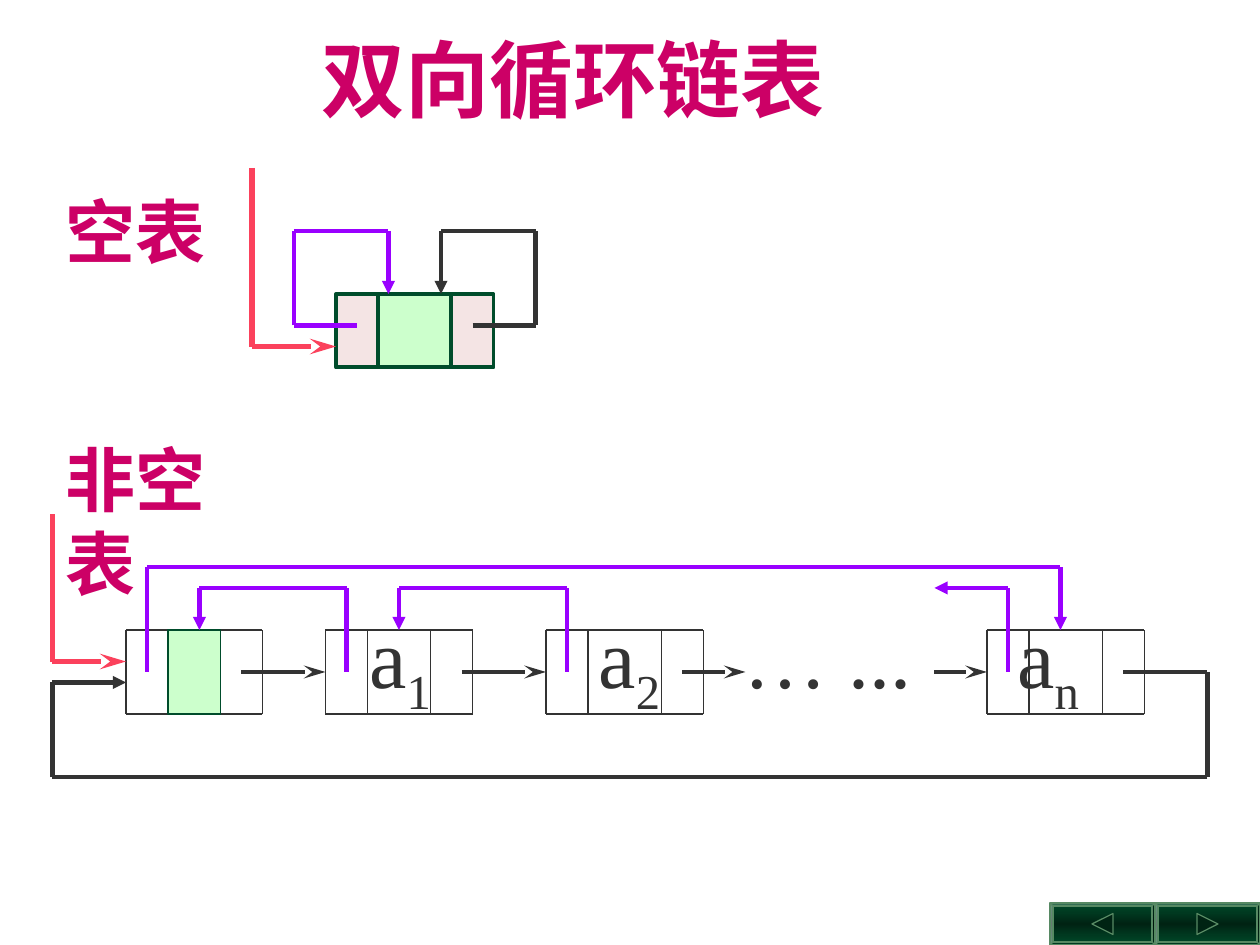
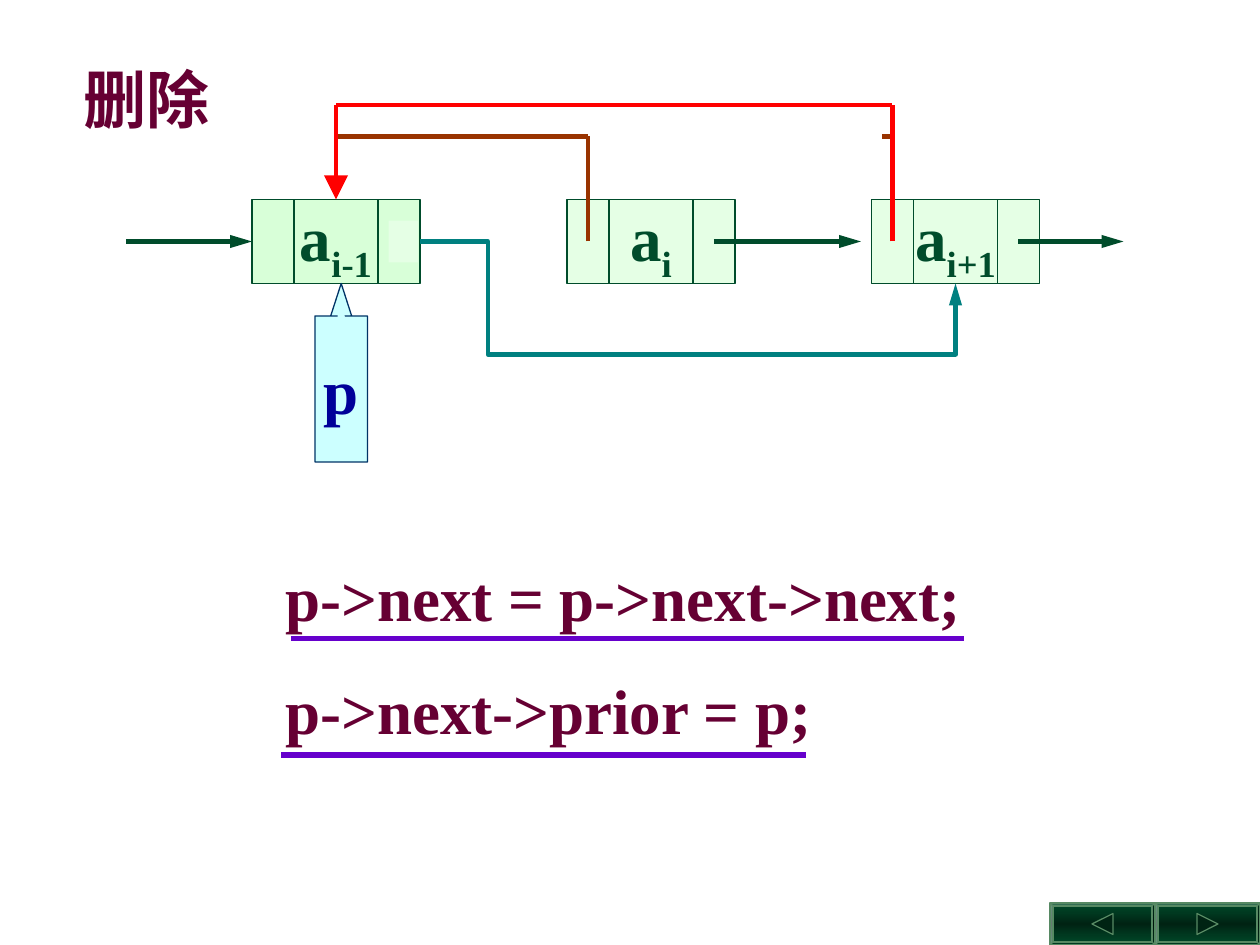
from copy import deepcopy

from lxml import etree
from pptx import Presentation
from pptx import util as u
from pptx.dml.color import RGBColor
from pptx.enum import shapes, text
from pptx.oxml.ns import qn

GRID = u.Cm(2.54) // 12  # every position below counts these steps
COLORS = {
    "ink": "333333", "title": "CC0066", "green": "004C2B", "deep_green": "002313",
    "button_edge": "578963", "data": "CCFFCC", "pointer": "F4E4E4", "head": "FB415C",
    "prior": "9900FF", "heading": "660033", "underline": "6600CC", "old_prior": "993300",
    "new_prior": "FF0000", "new_next": "008080", "tag": "CCFFFF", "tag_line": "003366",
    "tag_text": "000099", "erased": "E5FFE5",
}
RGB = {name: RGBColor.from_string(value) for name, value in COLORS.items()}
FONT = "Times New Roman"
STEALTH = ("stealth", "med", "lg")
SHORT = ("triangle", "med", "med")
LONG = ("triangle", "med", "lg")
WIDE = ("triangle", "lg", "lg")


def draw_path(slide, points, color, width, head=None, elbow=False):
    """Join grid points with connectors; the last one, returned, bears the arrowhead."""
    kind = shapes.MSO_CONNECTOR.ELBOW if elbow else shapes.MSO_CONNECTOR.STRAIGHT
    for start, end in zip(points, points[1:]):
        leg = slide.shapes.add_connector(kind, *(int(n * GRID) for n in start + end))
        leg.line.color.rgb = RGB[color]
        leg.line.width = u.Pt(width)
        etree.SubElement(leg._element.spPr, qn("a:effectLst"))
    if head:
        ending, breadth, length = head
        etree.SubElement(leg.line._get_or_add_ln(), qn("a:tailEnd"),
                         type=ending, w=breadth, len=length)
    return leg


def write(frame, lines, size, color, bold=True, tab_stops=()):
    """Fill a frame; in each line every second run is a subscript."""
    for number, runs in enumerate(lines):
        paragraph = frame.paragraphs[0] if number == 0 else frame.add_paragraph()
        if tab_stops:
            tabs = etree.SubElement(paragraph._p.get_or_add_pPr(), qn("a:tabLst"))
            for stop in tab_stops:
                etree.SubElement(tabs, qn("a:tab"), pos=str(u.Cm(stop)), algn="l")
        paragraph.font.name = FONT
        paragraph.font.size = u.Pt(size)
        paragraph.font.bold = bold
        paragraph.font.color.rgb = RGB[color]
        for place, words in enumerate(runs):
            run = paragraph.add_run()
            run.text = words
            if place % 2:
                run._r.get_or_add_rPr().set("baseline", "-25000")


deck = Presentation()
deck.slide_width, deck.slide_height = u.Cm(25.4), u.Cm(19.05)
circular = deck.slides.add_slide(deck.slide_layouts[6])
deletion = deck.slides.add_slide(deck.slide_layouts[6])

# Navigation buttons on both slides
for slide in (circular, deletion):
    for left, base, tip in ((110, 113.8, 116.3), (100, 106.3, 103.7)):
        button = slide.shapes.add_shape(shapes.MSO_SHAPE.BEVEL, left * GRID, 86 * GRID,
                                        10 * GRID, 4 * GRID)
        button.adjustments[0] = 0.07
        button.fill.gradient()
        button.fill.gradient_angle = 90
        for stop in button.fill.gradient_stops:
            stop.color.rgb = RGB["green"]
        first_stop = button._element.spPr.find(qn("a:gradFill")).find(qn("a:gsLst"))[0]
        middle_stop = deepcopy(first_stop)
        middle_stop.set("pos", "50000")
        middle_stop[0].set("val", COLORS["deep_green"])
        first_stop.addnext(middle_stop)

        outline = slide.shapes.build_freeform(base, 86.75, scale=GRID)
        outline.add_line_segments([(tip, 88), (base, 89.25)])
        triangle = outline.convert_to_shape()
        triangle.fill.solid()
        triangle.fill.fore_color.rgb = RGB["deep_green"]
        for part in (button, triangle):
            part.shadow.inherit = False
            part.line.color.rgb = RGB["button_edge"]
            part.line.width = u.Pt(0.75)

# Headings and code
for slide, lines, box, size, color in (
    (circular, [["双向循环链表"]], (29.4, 2, 50.4, 10.8), 48, "title"),
    (circular, [["空表"]], (5.1, 17.4, 15.7, 9.2), 40, "title"),
    (circular, [["非空表"]], (5.1, 41, 22.3, 9.2), 40, "title"),
    (deletion, [["删除"]], (6.8, 5.2, 14.4, 8.4), 36, "heading"),
    (deletion, [["p->next = p->next->next;"], ["p->next->prior = p;"]],
     (26, 49, 66.7, 22.8), 36, "heading"),
):
    frame = slide.shapes.add_textbox(*(int(n * GRID) for n in box)).text_frame
    frame.word_wrap = False
    frame.auto_size = text.MSO_AUTO_SIZE.SHAPE_TO_FIT_TEXT
    write(frame, lines, size, color)
    if len(lines) > 1:
        for paragraph in frame.paragraphs:
            paragraph.line_spacing = 1.5

# Slide 1: element names of the non-empty list
elements = circular.shapes.add_textbox(28 * GRID, 57 * GRID, 91 * GRID, 23 * GRID).text_frame
elements.word_wrap = True
write(elements, [["\ta", "1", "\ta", "2", "\t… ...\ta", "n"]], 48, "ink", bold=False,
      tab_stops=(1.27, 5.89, 8.81, 14.33))

# Slide 1: node outlines with their dividers
TOP, MIDDLE, BOTTOM = 60, 64, 68
for left, first, second, right in ((12, 16, 21, 25), (31, 35, 41, 45),
                                   (52, 56, 63, 67), (94, 98, 105, 109)):
    draw_path(circular, [(left, TOP), (right, TOP), (right, BOTTOM), (left, BOTTOM),
                         (left, TOP)], "ink", 0.75)
    for divider in (first, second):
        draw_path(circular, [(divider, TOP), (divider, BOTTOM)], "ink", 0.75)

# Slide 1: the empty list's node and the head cell of the other list
for left, top, width, height, color, border in (
    (36, 28, 7, 7, "data", 2.25), (43, 28, 4, 7, "pointer", 2.25),
    (32, 28, 4, 7, "pointer", 2.25), (16, TOP, 5, 8, "data", 0.75),
):
    cell = circular.shapes.add_shape(shapes.MSO_SHAPE.RECTANGLE, left * GRID, top * GRID,
                                     width * GRID, height * GRID)
    cell.shadow.inherit = False
    cell.fill.solid()
    cell.fill.fore_color.rgb = RGB[color]
    cell.line.color.rgb = RGB["green"]
    cell.line.width = u.Pt(border)

# Slide 1: links
for start, end in ((23, 31), (44, 52), (65, 71), (89, 94)):
    draw_path(circular, [(start, MIDDLE), (end, MIDDLE)], "ink", 2.5, STEALTH)
for points, color in (
    ([(107, MIDDLE), (115, MIDDLE), (115, 74), (5, 74), (5, 65), (12, 65)], "ink"),
    ([(96, MIDDLE), (96, 56), (89, 56)], "prior"),
    ([(54, MIDDLE), (54, 56), (38, 56), (38, TOP)], "prior"),
    ([(33, MIDDLE), (33, 56), (19, 56), (19, TOP)], "prior"),
    ([(14, MIDDLE), (14, 54), (101, 54), (101, TOP)], "prior"),
    ([(45, 31), (51, 31), (51, 22), (42, 22), (42, 28)], "ink"),
    ([(34, 31), (28, 31), (28, 22), (37, 22), (37, 28)], "prior"),
):
    draw_path(circular, points, color, 2.5, SHORT)
for points in ([(5, 49), (5, 63), (12, 63)], [(24, 16), (24, 33), (32, 33)]):
    draw_path(circular, points, "head", 3, STEALTH)

# Slide 2: nodes
nodes = []
for left, subscript, opacity in ((24, "i-1", 75), (54, "i", 50), (83, "i+1", 50)):
    node = deletion.shapes.add_shape(shapes.MSO_SHAPE.RECTANGLE, left * GRID, 19 * GRID,
                                     16 * GRID, 8 * GRID)
    node.fill.solid()
    node.fill.fore_color.rgb = RGB["data"]
    fill_color = node._element.spPr.find(qn("a:solidFill"))[0]
    etree.SubElement(fill_color, qn("a:alpha"), val=str(opacity * 1000))
    node.line.color.rgb = RGB["green"]
    write(node.text_frame, [["a", subscript]], 36, "green")
    for divider in (left + 4, left + 12):
        draw_path(deletion, [(divider, 19), (divider, 27)], "green", 0.75)
    nodes.append(node)
before, removed, after = nodes

tag = deletion.shapes.add_shape(shapes.MSO_SHAPE.UP_ARROW_CALLOUT, 30 * GRID, 27 * GRID,
                                5 * GRID, 17 * GRID)
for place, value in enumerate((0.15, 0.2, 0.62, 0.82)):
    tag.adjustments[place] = value
tag.fill.solid()
tag.fill.fore_color.rgb = RGB["tag"]
tag.line.color.rgb = RGB["tag_line"]
tag.line.width = u.Pt(0.75)
write(tag.text_frame, [["p"]], 36, "tag_text")

for labelled in nodes + [tag]:
    labelled.shadow.inherit = False
    labelled.line.width = u.Pt(0.75)
    labelled.text_frame.word_wrap = False
    labelled.text_frame.vertical_anchor = text.MSO_ANCHOR.MIDDLE
    labelled.text_frame.paragraphs[0].alignment = text.PP_ALIGN.CENTER

erased_link = deletion.shapes.add_shape(shapes.MSO_SHAPE.RECTANGLE, 37 * GRID, 21 * GRID,
                                        int(2.8 * GRID), 4 * GRID)
erased_link.shadow.inherit = False
erased_link.fill.solid()
erased_link.fill.fore_color.rgb = RGB["erased"]
erased_link.line.fill.background()

# Slide 2: links before and after the deletion
incoming = draw_path(deletion, [(12, 23), (24, 23)], "green", 2.5, LONG)
incoming.end_connect(before, 1)
for start, end in ((68, 82), (97, 107)):
    draw_path(deletion, [(start, 23), (end, 23)], "green", 2.5, LONG)
draw_path(deletion, [(56, 23), (56, 13), (32, 13)], "old_prior", 2.5)
draw_path(deletion, [(85, 13), (84, 13)], "old_prior", 2.5)

new_next = draw_path(deletion, [(40, 23), (91, 27)], "new_next", 2.5, LONG, elbow=True)
bend = new_next._element.spPr.find(qn("a:prstGeom"))
bend.set("prst", "bentConnector4")
bend_values = bend.find(qn("a:avLst"))
if bend_values is None:
    bend_values = etree.SubElement(bend, qn("a:avLst"))
for name, value in (("adj1", 12700), ("adj2", 268800)):
    etree.SubElement(bend_values, qn("a:gd"), name=name, fmla=f"val {value}")

new_prior = draw_path(deletion, [(85, 23), (85, 10), (32, 10), (32, 19)],
                      "new_prior", 2.75, WIDE)
new_prior.end_connect(before, 0)

for start, end, level in ((27.7, 91.8, 60.8), (26.8, 76.8, 71.9)):
    draw_path(deletion, [(start, level), (end, level)], "underline", 3)

deck.save("out.pptx")
